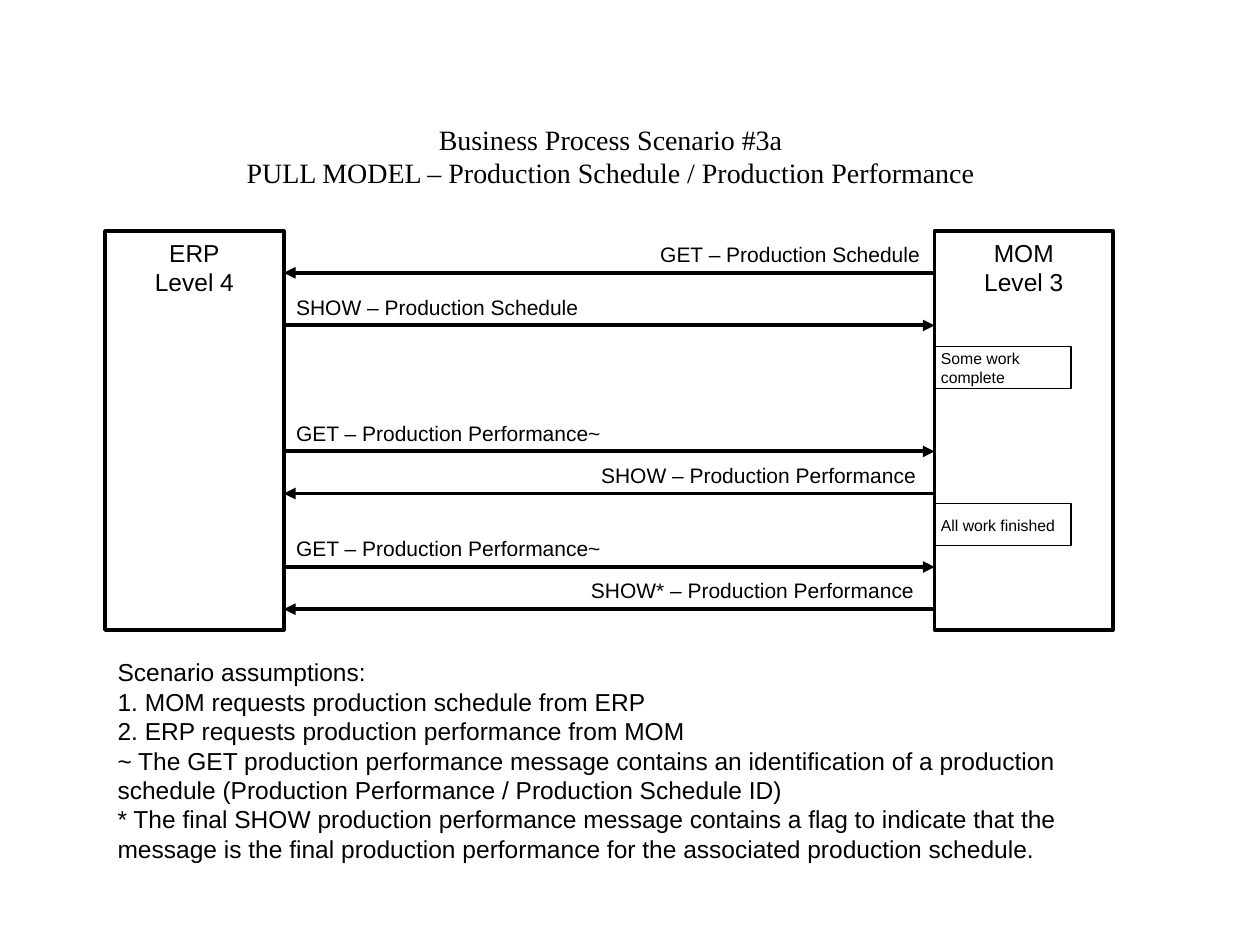
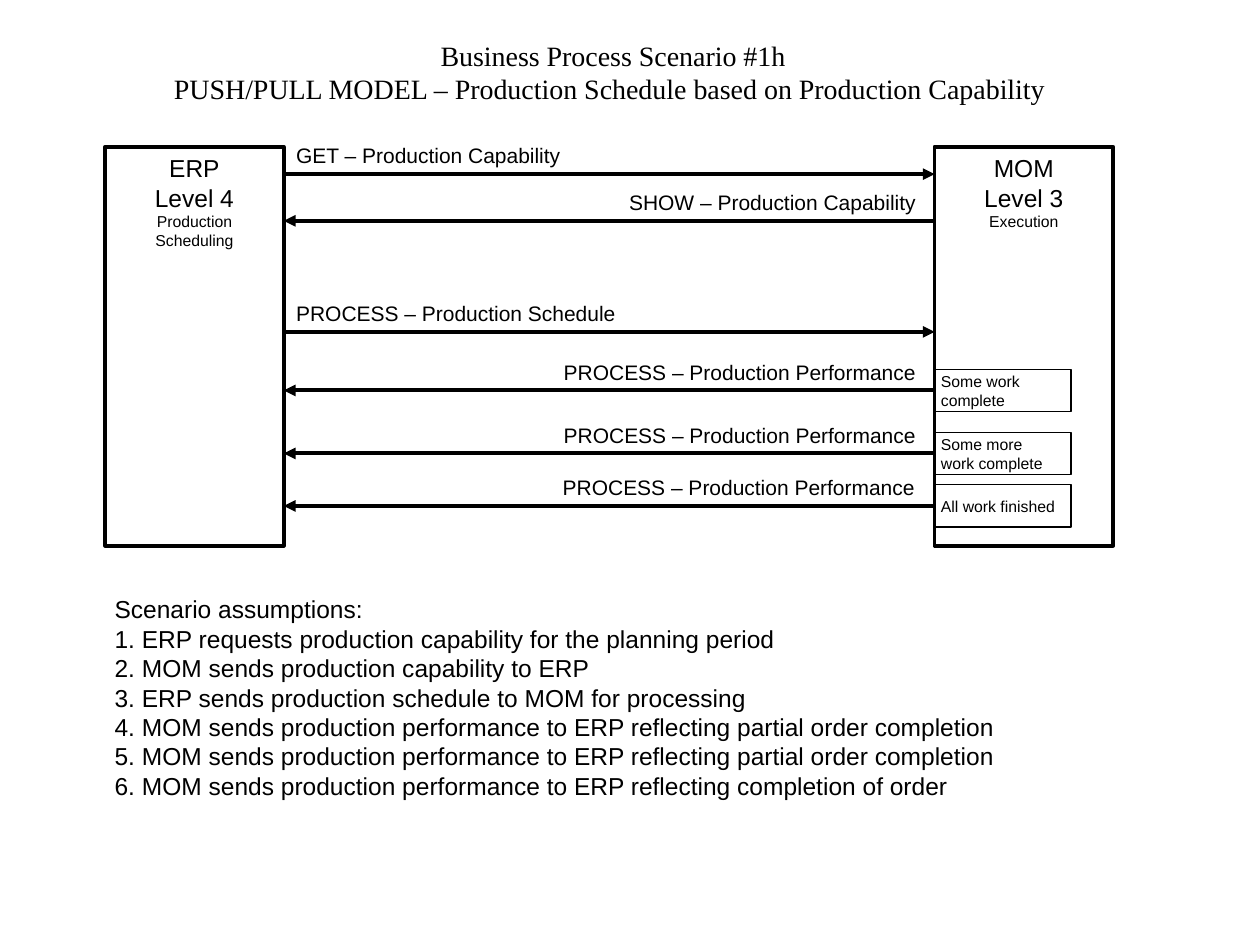
import pptx
import pptx.util
import pptx.dml.color
import pptx.enum.text
import pptx.enum.shapes
import pptx.oxml
import pptx.oxml.ns

Cm = pptx.util.Cm
Pt = pptx.util.Pt
ALIGN = pptx.enum.text.PP_ALIGN
ANCHOR = pptx.enum.text.MSO_ANCHOR
RECT = pptx.enum.shapes.MSO_SHAPE.RECTANGLE
STRAIGHT = pptx.enum.shapes.MSO_CONNECTOR.STRAIGHT
NSDECLS = pptx.oxml.ns.nsdecls("a")

BLACK = "000000"
WHITE = "FFFFFF"
ERP_LEFT, ERP_RIGHT = 2.12, 5.72
MOM_LEFT = 18.84
BOX_W, BOX_H = 3.6, 8.04
NOTE_W, NOTE_H = 2.75, 0.85
LABEL_W, LABEL_H = 8, 0.76
LABEL_END = 18.72

TITLE = {"name": "Times New Roman", "size": Pt(16), "bold": False}
BODY = {"name": "Arial", "size": Pt(14)}
LABEL = {"name": "Arial", "size": Pt(12)}
SMALL = {"name": "Arial", "size": Pt(9)}
FRAME = {
    "word_wrap": True,
    "auto_size": pptx.enum.text.MSO_AUTO_SIZE.NONE,
    "margin_left": Cm(0.25),
    "margin_right": Cm(0.25),
    "margin_top": Cm(0.13),
    "margin_bottom": Cm(0.13),
}


def paint(color_format, hex_color):
    color_format.rgb = pptx.dml.color.RGBColor.from_string(hex_color)


def write(sp, lines, align, anchor=ANCHOR.TOP, **frame):
    tf = sp.text_frame
    for key, value in {**FRAME, "vertical_anchor": anchor, **frame}.items():
        setattr(tf, key, value)
    for i, (text, font) in enumerate(lines):
        p = tf.add_paragraph() if i else tf.paragraphs[0]
        p.alignment = align
        p.space_before = Pt(0)
        r = p.add_run()
        r.text = text
        for key, value in font.items():
            setattr(r.font, key, value)
        paint(r.font.color, BLACK)


slides = [
    {
        "title": ["Business Process Scenario #3a",
                  "PULL MODEL – Production Schedule / Production Performance"],
        "title_at": (2.81, 2.33),
        "boxes_top": 4.66,
        "erp": [("ERP", BODY), ("Level 4", BODY)],
        "mom": [("MOM", BODY), ("Level 3", BODY)],
        "messages": [
            ("MOM", 5.5, "GET – Production Schedule", 18.8),
            ("ERP", 6.56, "SHOW – Production Schedule", ERP_RIGHT),
            ("ERP", 9.1, "GET – Production Performance~", ERP_RIGHT),
            ("MOM", 9.95, "SHOW – Production Performance", LABEL_END),
            ("ERP", 11.43, "GET – Production Performance~", ERP_RIGHT),
            ("MOM", 12.28, "SHOW* – Production Performance", 18.68),
        ],
        "notes": [(7.41, ["Some work", "complete"]),
                  (10.58, ["All work finished"])],
        "body_at": (2.12, 13.12),
        "body": [
            "Scenario assumptions:",
            "1. MOM requests production schedule from ERP",
            "2. ERP requests production performance from MOM",
            "~ The GET production performance message contains an identification of a "
            "production schedule (Production Performance / Production Schedule ID)",
            "* The final SHOW production performance message contains a flag to indicate "
            "that the message is the final production performance for the associated "
            "production schedule.",
        ],
    },
    {
        "title": ["Business Process Scenario #1h",
                  "PUSH/PULL MODEL – Production Schedule based on Production Capability "],
        "title_at": (2.86, 0.64),
        "boxes_top": 2.96,
        "erp": [("ERP", BODY), ("Level 4", BODY), ("Production Scheduling", SMALL)],
        "mom": [("MOM", BODY), ("Level 3", BODY), ("Execution", SMALL)],
        "messages": [
            ("ERP", 3.51, "GET – Production Capability", ERP_RIGHT),
            ("MOM", 4.45, "SHOW – Production Capability", LABEL_END),
            ("ERP", 6.69, "PROCESS – Production Schedule", ERP_RIGHT),
            ("MOM", 7.87, "PROCESS – Production Performance", LABEL_END),
            ("MOM", 9.14, "PROCESS – Production Performance", LABEL_END),
            ("MOM", 10.2, "PROCESS – Production Performance", 18.7),
        ],
        "notes": [(7.87, ["Some work", "complete"]),
                  (9.14, ["Some more", "work complete"]),
                  (10.2, ["All work finished"])],
        "body_at": (2.06, 11.85),
        "body": [
            "Scenario assumptions:",
            "1. ERP requests production capability for the planning period",
            "2. MOM sends production capability to ERP",
            "3. ERP sends production schedule to MOM for processing",
            "4. MOM sends production performance to ERP reflecting partial order completion",
            "5. MOM sends production performance to ERP reflecting partial order completion",
            "6. MOM sends production performance to ERP reflecting completion of order",
        ],
    },
]

prs = pptx.Presentation()
prs.slide_width = Cm(25.4)
prs.slide_height = Cm(19.05)

for s in slides:
    slide = prs.slides.add_slide(prs.slide_layouts[1])
    title, body = slide.placeholders
    for sp, (left, top), width, height, lines, font, align in [
        (title, s["title_at"], 19, 1.62, s["title"], TITLE, ALIGN.CENTER),
        (body, s["body_at"], 20.32, 4.42, s["body"], BODY, ALIGN.LEFT),
    ]:
        sp.left, sp.top, sp.width, sp.height = Cm(left), Cm(top), Cm(width), Cm(height)
        write(sp, [(text, font) for text in lines], align)
    for p in body.text_frame.paragraphs:
        pPr = p._p.get_or_add_pPr()
        pPr.set("marL", "0")
        pPr.set("indent", "0")
        pPr.append(pptx.oxml.parse_xml(f"<a:buNone {NSDECLS}/>"))

    for left, lines in [(ERP_LEFT, s["erp"]), (MOM_LEFT, s["mom"])]:
        sp = slide.shapes.add_shape(RECT, Cm(left), Cm(s["boxes_top"]), Cm(BOX_W), Cm(BOX_H))
        sp.shadow.inherit = False
        sp.fill.solid()
        paint(sp.fill.fore_color, WHITE)
        paint(sp.line.color, BLACK)
        sp.line.width = Pt(2.25)
        write(sp, lines, ALIGN.CENTER)

    for sender, y, text, edge in s["messages"]:
        if sender == "ERP":
            start, end, left, align = ERP_RIGHT, MOM_LEFT, edge, ALIGN.LEFT
        else:
            start, end, left, align = MOM_LEFT, ERP_RIGHT, edge - LABEL_W, ALIGN.RIGHT
        arrow = slide.shapes.add_connector(STRAIGHT, Cm(start), Cm(y), Cm(end), Cm(y))
        paint(arrow.line.color, BLACK)
        arrow.line.width = Pt(2.25)
        arrow.line._get_or_add_ln().append(
            pptx.oxml.parse_xml(f'<a:tailEnd {NSDECLS} type="triangle"/>'))
        arrow._element.spPr.append(pptx.oxml.parse_xml(f"<a:effectLst {NSDECLS}/>"))
        label = slide.shapes.add_textbox(
            Cm(left), Cm(y - LABEL_H), Cm(LABEL_W), Cm(LABEL_H))
        write(label, [(text, LABEL)], align)

    for middle, lines in s["notes"]:
        sp = slide.shapes.add_shape(
            RECT, Cm(MOM_LEFT), Cm(middle - NOTE_H / 2), Cm(NOTE_W), Cm(NOTE_H))
        sp.shadow.inherit = False
        sp.fill.background()
        paint(sp.line.color, BLACK)
        sp.line.width = Pt(0.75)
        write(sp, [(text, SMALL) for text in lines], ALIGN.LEFT, ANCHOR.MIDDLE,
              margin_left=Cm(0.13), margin_right=Cm(0.13))

prs.save("out.pptx")
